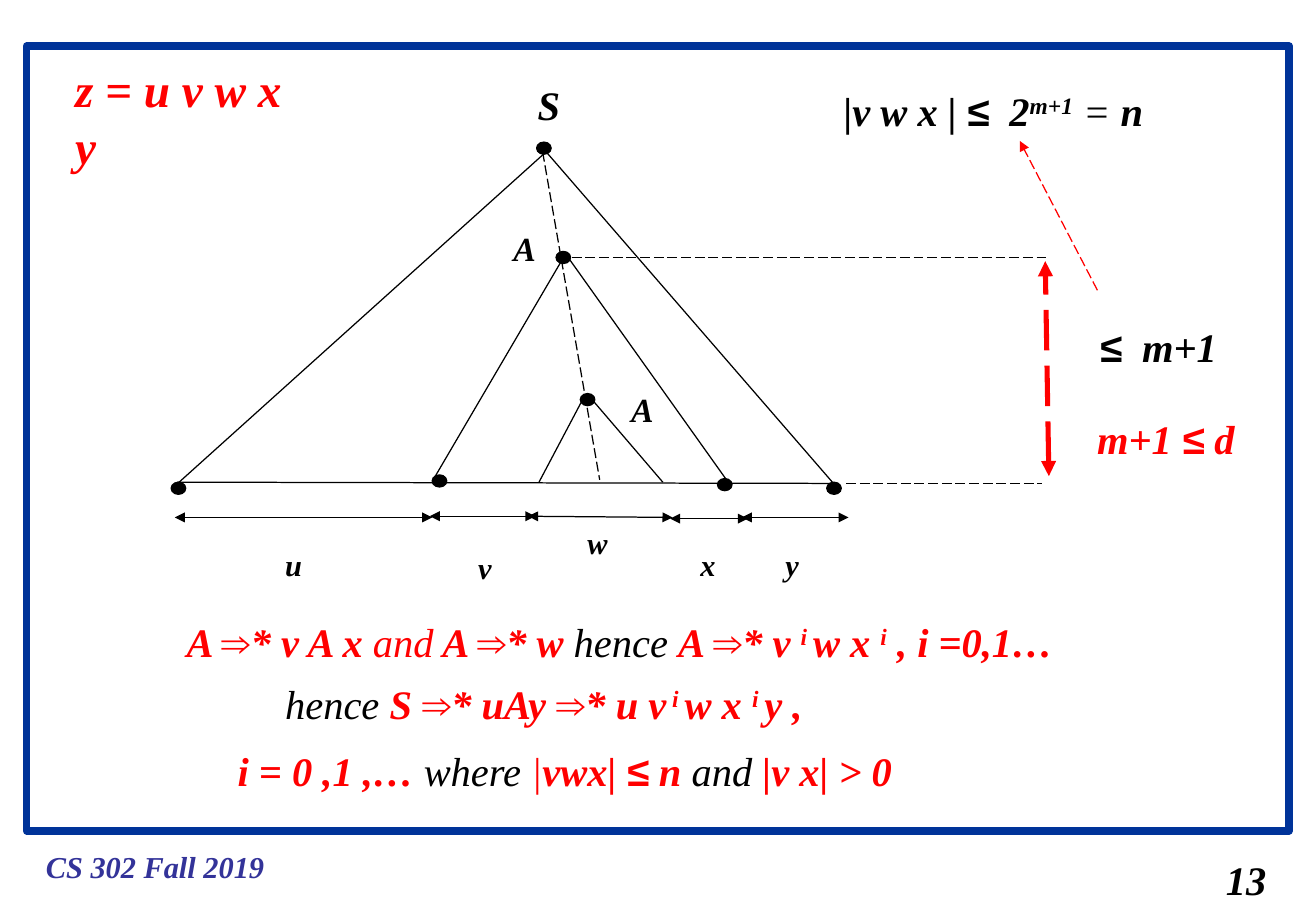
from dataclasses import dataclass

from lxml import etree
from pptx import Presentation
from pptx import util as u
from pptx.dml.color import RGBColor
from pptx.enum import dml, shapes, text
from pptx.oxml import ns

SCALE = 9144


@dataclass(frozen=True)
class Theme:
    ink = RGBColor(0, 0, 0)
    accent = RGBColor(255, 0, 0)
    frame = RGBColor(0, 51, 153)
    footer = RGBColor(51, 51, 153)
    serif = "Times New Roman"
    symbol = "Arial"
    title = 28
    body = 24
    node = 20
    small = 18
    thin = 0.75
    thick = 3
    border = 4.5


@dataclass(frozen=True)
class Box:
    left: int
    top: int
    width: int
    height: int

    def inner(self, left, top, width, height):
        return Box(self.left + left, self.top + top, width, height)

    def emu(self):
        return [px(value) for value in (self.left, self.top, self.width, self.height)]


THEME = Theme()
BOLD, PLAIN, RAISED = "bold", "plain", "raised"


def px(value):
    return u.Emu(value * SCALE)


def black(words, weight=BOLD):
    return words, THEME.ink, weight


def red(words, weight=BOLD):
    return words, THEME.accent, weight


def add_text(slide, box, size, runs, wrap=False):
    frame = slide.shapes.add_textbox(*box.emu()).text_frame
    frame.word_wrap = wrap
    frame.auto_size = text.MSO_AUTO_SIZE.SHAPE_TO_FIT_TEXT
    paragraph = frame.paragraphs[0]
    for words, color, weight in runs:
        run = paragraph.add_run()
        run.text = words
        run.font.name = THEME.symbol if words in "≤⇒" else THEME.serif
        run.font.size = u.Pt(size)
        run.font.italic = True
        run.font.bold = weight != PLAIN
        run.font.color.rgb = color
        if weight == RAISED:
            run._r.get_or_add_rPr().set("baseline", "30000")


def add_line(slide, box, ends, color=THEME.ink, width=THEME.thin, dashed=False, arrows=()):
    x1, y1, x2, y2 = ends
    connector = slide.shapes.add_connector(
        shapes.MSO_CONNECTOR.STRAIGHT,
        px(box.left + x1), px(box.top + y1), px(box.left + x2), px(box.top + y2),
    )
    connector.line.color.rgb = color
    connector.line.width = u.Pt(width)
    if dashed:
        connector.line.dash_style = dml.MSO_LINE.LONG_DASH
    line = connector.line._get_or_add_ln()
    for arrow in arrows:
        etree.SubElement(line, ns.qn(f"a:{arrow}")).set("type", "triangle")
    etree.SubElement(connector._element.spPr, ns.qn("a:effectLst"))


def add_node(slide, box, x, y):
    node = slide.shapes.add_shape(shapes.MSO_SHAPE.OVAL, *box.inner(x - 6, y - 5, 12, 10).emu())
    node.shadow.inherit = False
    node.fill.solid()
    node.fill.fore_color.rgb = THEME.ink
    node.line.color.rgb = THEME.ink
    node.line.width = u.Pt(THEME.thin)


def build_page(slide, box):
    border = slide.shapes.add_shape(shapes.MSO_SHAPE.RECTANGLE, *box.inner(22, 38, 1040, 646).emu())
    border.shadow.inherit = False
    border.fill.background()
    border.line.color.rgb = THEME.frame
    border.line.width = u.Pt(THEME.border)
    add_text(slide, box.inner(28, 693, 200, 40), THEME.small, [("CS 302 Fall 2019", THEME.footer, BOLD)])
    add_text(slide, box.inner(1000, 699, 53, 50), THEME.body, [black("13")])


def build_headline(slide, box):
    add_text(slide, box.inner(0, 0, 209, 57), THEME.title, [red("z = u v w x y")])
    bound = [black("|v w x | "), black("≤"), black("  2"), black("m+1", RAISED), black(" = ", PLAIN), black("n")]
    add_text(slide, box.inner(633, 21, 309, 50), THEME.body, bound, wrap=True)


def build_tree(slide, box):
    branches = [
        (311, 14, 2, 292), (309, 14, 550, 292), (6, 287, 550, 288), (323, 104, 218, 283),
        (328, 102, 462, 290), (341, 217, 304, 287), (346, 217, 406, 287),
    ]
    for ends in branches:
        add_line(slide, box, ends)
    add_line(slide, box, (307, 15, 354, 285), dashed=True)
    nodes = [(308, 12), (324, 102), (344, 219), (7, 292), (222, 286), (457, 289), (547, 292)]
    for x, y in nodes:
        add_node(slide, box, x, y)
    labels = [("S", 293, -49, 50, THEME.body), ("A", 273, 73, 44, THEME.node), ("A", 370, 205, 44, THEME.node)]
    for name, x, y, height, size in labels:
        add_text(slide, box.inner(x, y, 38, height), size, [black(name)])


def build_spans(slide, box):
    spans = [
        ("u", (4, 6, 216, 6), 85, 25, 34),
        ("v", (214, 5, 301, 5), 244, 27, 31),
        ("w", (295, 5, 414, 6), 334, 7, 36),
        ("x", (412, 7, 476, 7), 427, 25, 32),
        ("y", (471, 6, 559, 6), 497, 25, 31),
    ]
    for name, ends, x, y, width in spans:
        add_line(slide, box, ends, arrows=("headEnd", "tailEnd"))
        add_text(slide, box.inner(x, y, width, 40), THEME.small, [black(name)])


def build_height(slide, box):
    add_line(slide, box, (1, 12, 394, 12), dashed=True)
    add_line(slide, box, (227, 198, 388, 198), dashed=True)
    add_line(slide, box, (394, 192, 391, 15), THEME.accent, THEME.thick, True, ("headEnd", "tailEnd"))
    add_line(slide, box, (434, 39, 370, -84), THEME.accent, dashed=True, arrows=("tailEnd",))
    add_text(slide, box.inner(426, 60, 125, 50), THEME.body, [black("≤"), black("  m+1")])
    add_text(slide, box.inner(424, 136, 150, 50), THEME.body, [red("m+1 "), red("≤"), red(" d")])


def build_derivation(slide, box):
    pumped = [
        red("A "), red("⇒"), red("* v A x "), red("and", PLAIN), red(" A "), red("⇒"), red("* w "),
        black("hence ", PLAIN), red("A "), red("⇒"), red("* v "), red("i ", RAISED), red("w x "),
        red("i", RAISED), red(" , i =0,1…"),
    ]
    derived = [
        black("hence ", PLAIN), red("S "), red("⇒"), red("* uAy "), red("⇒"), red("* u v"),
        red(" i ", RAISED), red("w x "), red("i ", RAISED), red("y ,"),
    ]
    limits = [
        red("i = 0 ,1 ,… "), black("where ", PLAIN), red("|", PLAIN), red("vwx| "), red("≤"),
        red(" n "), black("and ", PLAIN), red("|v x| > 0"),
    ]
    for x, y, width, runs in [(0, 0, 810, pumped), (81, 51, 489, derived), (42, 106, 693, limits)]:
        add_text(slide, box.inner(x, y, width, 50), THEME.body, runs, wrap=True)


def main():
    presentation = Presentation()
    presentation.slide_width, presentation.slide_height = px(1084), px(750)
    slide = presentation.slides.add_slide(presentation.slide_layouts[6])
    build_page(slide, Box(0, 0, 1084, 750))
    build_headline(slide, Box(52, 45, 942, 71))
    build_tree(slide, Box(140, 110, 560, 300))
    build_spans(slide, Box(140, 420, 560, 70))
    build_height(slide, Box(470, 200, 574, 200))
    build_derivation(slide, Box(144, 503, 810, 156))
    presentation.save("out.pptx")


if __name__ == "__main__":
    main()
